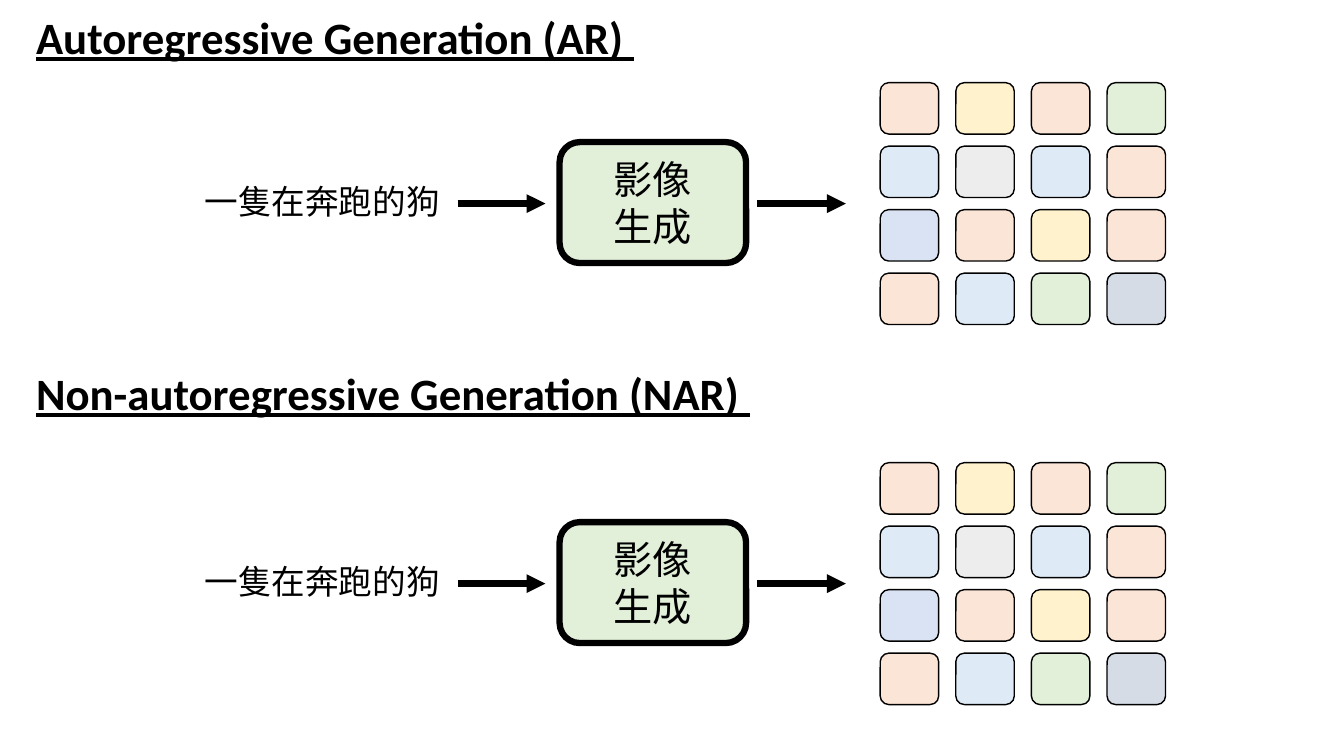
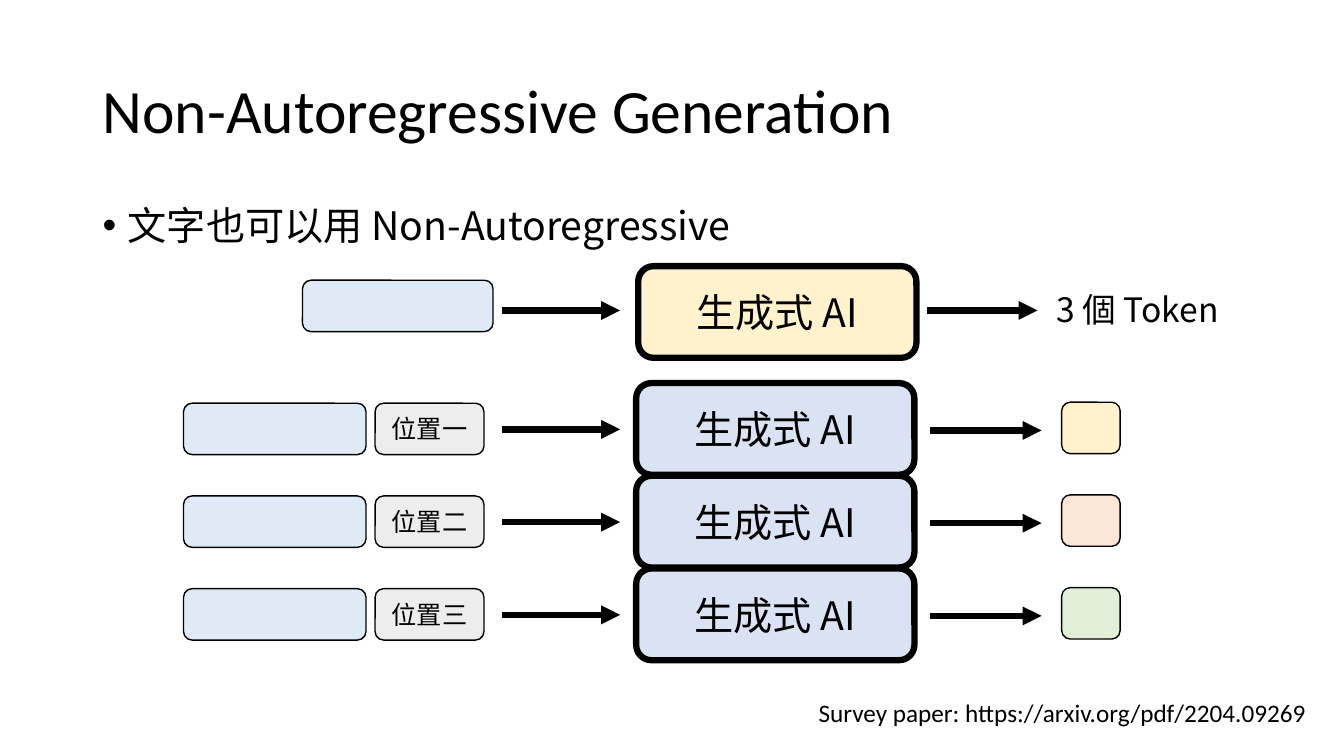
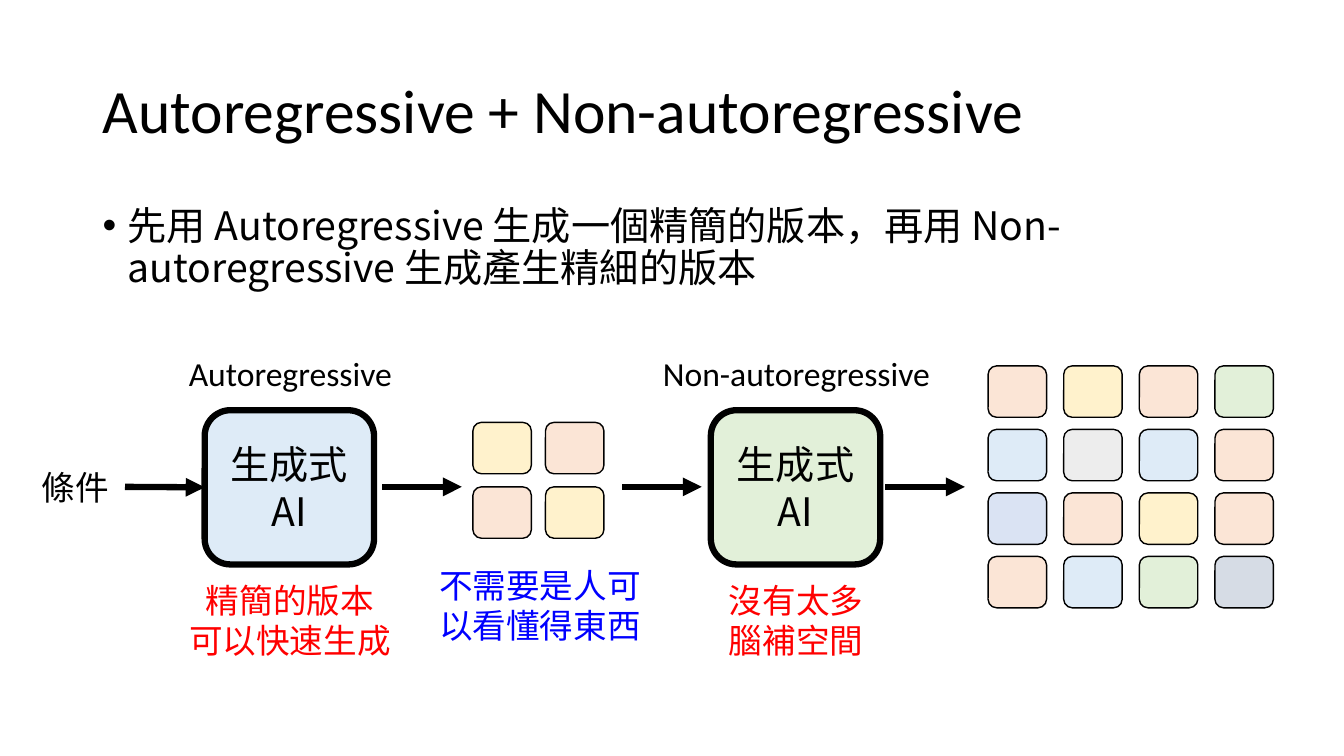
from lxml.etree import SubElement
from pptx import Presentation
from pptx.dml.color import RGBColor
from pptx.enum.shapes import MSO_CONNECTOR as Connector, MSO_SHAPE as Shape
from pptx.enum.text import MSO_ANCHOR as Anchor, MSO_AUTO_SIZE as AutoSize, PP_ALIGN as Align
from pptx.oxml.ns import qn
from pptx.util import Inches, Pt

COLORS = {
    "black": "000000", "red": "FF0000", "blue": "0000FF",
    "peach": "FBE5D6", "cream": "FFF2CC", "mint": "E2F0D9", "sky": "DEEBF7",
    "grey": "EDEDED", "periwinkle": "DAE3F3", "slate": "D6DCE5",
}
LATIN = "Calibri"
CJK = "Noto Sans CJK SC"
THICK, THIN = 4.5, 1
TOKEN_WIDTH, TOKEN_HEIGHT = 0.58, 0.51
IMAGE_TOKENS = [
    ["peach", "cream", "peach", "mint"],
    ["sky", "grey", "sky", "peach"],
    ["periwinkle", "peach", "cream", "peach"],
    ["peach", "sky", "mint", "slate"],
]
DRAFT_TOKENS = [["cream", "peach"], ["peach", "cream"]]


def rgb(name):
    return RGBColor.from_string(COLORS[name])


class Deck:
    def __init__(self):
        self.file = Presentation()
        self.file.slide_width = Inches(13.33)
        self.file.slide_height = Inches(7.5)
        self.page = None

    def new_page(self):
        self.page = self.file.slides.add_slide(self.file.slide_layouts[6])

    def fill_text(self, frame, lines, size, font, color="black", align=Align.LEFT,
                  spacing=None, bullet=False, heading=False):
        frame.word_wrap = True
        for index, line in enumerate(lines):
            para = frame.paragraphs[0] if index == 0 else frame.add_paragraph()
            para.alignment = align
            if bullet:
                properties = para._p.get_or_add_pPr()
                properties.set("marL", str(Inches(0.25)))
                properties.set("indent", str(-Inches(0.25)))
                SubElement(properties, qn("a:buFont"), typeface="Arial")
                SubElement(properties, qn("a:buChar"), char="•")
            if spacing:
                para.line_spacing = spacing
            span = para.add_run()
            span.text = line
            span.font.size = Pt(size)
            span.font.name = font
            span.font.color.rgb = rgb(color)
            if heading:
                span.font.bold = True
                span.font.underline = True
            SubElement(span._r.get_or_add_rPr(), qn("a:ea"), typeface=font)

    def text(self, left, top, width, height, lines, size=24, font=CJK,
             anchor=Anchor.TOP, grow=True, **style):
        box = self.page.shapes.add_textbox(
            Inches(left), Inches(top), Inches(width), Inches(height))
        frame = box.text_frame
        self.fill_text(frame, lines, size, font, **style)
        frame.vertical_anchor = anchor
        frame.auto_size = AutoSize.SHAPE_TO_FIT_TEXT if grow else AutoSize.NONE

    def title(self, words):
        self.text(0.92, 0.4, 11.5, 1.45, [words], 44, LATIN,
                  anchor=Anchor.MIDDLE, grow=False, spacing=0.9)

    def body(self, words):
        self.text(0.92, 2, 11.5, 4.76, [words], 28, grow=False,
                  spacing=0.9, bullet=True)

    def block(self, left, top, width, height, fill, lines=(), size=28, weight=THIN):
        box = self.page.shapes.add_shape(
            Shape.ROUNDED_RECTANGLE, Inches(left), Inches(top), Inches(width), Inches(height))
        box.shadow.inherit = False
        box.fill.solid()
        box.fill.fore_color.rgb = rgb(fill)
        box.line.color.rgb = rgb("black")
        box.line.width = Pt(weight)
        box.text_frame.vertical_anchor = Anchor.MIDDLE
        self.fill_text(box.text_frame, lines, size, CJK, align=Align.CENTER)
        return box

    def model(self, left, top, width, height, fill, lines):
        return self.block(left, top, width, height, fill, lines, weight=THICK)

    def token(self, left, top, fill):
        self.block(left, top, TOKEN_WIDTH, TOKEN_HEIGHT, fill)

    def token_grid(self, left, top, rows, across=0.75, down=0.63):
        for row, fills in enumerate(rows):
            for column, fill in enumerate(fills):
                self.token(left + column * across, top + row * down, fill)

    def arrow(self, start, end, level, target=None):
        line = self.page.shapes.add_connector(
            Connector.STRAIGHT, Inches(start), Inches(level), Inches(end), Inches(level))
        line.line.color.rgb = rgb("black")
        line.line.width = Pt(THICK)
        SubElement(line.line._get_or_add_ln(), qn("a:tailEnd"), type="triangle")
        SubElement(line._element.spPr, qn("a:effectLst"))
        if target is not None:
            line.end_connect(target, 1)


def image_generation(deck):
    deck.new_page()
    halves = [
        ("Autoregressive Generation (AR) ", 0.05, 2.02),
        ("Non-autoregressive Generation (NAR) ", 3.58, 5.79),
    ]
    for heading, top, level in halves:
        deck.text(0.26, top, 9.04, 0.64, [heading], 32, LATIN, heading=True)
        deck.text(1.46, level - 0.27, 3, 0.5, ["一隻在奔跑的狗"], align=Align.RIGHT)
        deck.arrow(4.54, 5.41, level)
        deck.model(5.55, level - 0.61, 1.85, 1.2, "mint", ["影像", "生成"])
        deck.arrow(7.51, 8.39, level)
        deck.token_grid(8.73, level - 1.2, IMAGE_TOKENS)


def text_generation(deck):
    deck.new_page()
    deck.title("Non-Autoregressive Generation")
    deck.body("文字也可以用 Non-Autoregressive")
    deck.text(8.02, 6.87, 5.2, 0.4, ["Survey paper: https://arxiv.org/pdf/2204.09269"], 18, LATIN)

    deck.block(3, 2.78, 1.89, 0.51, "sky")
    deck.arrow(4.98, 6.15, 3.08)
    deck.model(6.33, 2.64, 2.76, 0.91, "cream", ["生成式 AI"])
    deck.arrow(9.19, 10.29, 3.08)
    deck.text(10.38, 2.82, 2.9, 0.5, ["3 個 Token"])

    outputs = [("位置一", "cream"), ("位置二", "peach"), ("位置三", "mint")]
    for row, (position, fill) in enumerate(outputs):
        top = 3.8 + row * 0.92
        deck.block(1.82, top + 0.2, 1.81, 0.51, "sky")
        deck.block(3.72, top + 0.2, 1.08, 0.51, "grey", [position], 18)
        deck.arrow(4.98, 6.15, top + 0.46)
        deck.model(6.31, top, 2.76, 0.91, "periwinkle", ["生成式 AI"])
        deck.arrow(9.22, 10.33, top + 0.47)
        deck.token(10.53, top + 0.19, fill)


def combined_generation(deck):
    deck.new_page()
    deck.title("Autoregressive + Non-autoregressive")
    deck.body("先用 Autoregressive 生成一個精簡的版本，再用 Non-autoregressive 生成產生精細的版本")

    stages = [
        (2.03, "sky", "Autoregressive", ["精簡的版本", "可以快速生成"]),
        (7.05, "mint", "Non-autoregressive", ["沒有太多", "腦補空間"]),
    ]
    models = []
    for left, fill, name, remark in stages:
        deck.text(left - 0.78, 3.45, 3.26, 0.5, [name], font=LATIN, align=Align.CENTER)
        models.append(deck.model(left, 4.07, 1.68, 1.53, fill, ["生成式", "AI"]))
        deck.text(left - 0.5, 5.7, 2.69, 0.91, remark, color="red", align=Align.CENTER)

    deck.text(0, 4.58, 1.5, 0.5, ["條件"], align=Align.CENTER)
    deck.arrow(1.24, 2.03, 4.83, models[0])
    for start in (3.79, 6.17, 8.78):
        deck.arrow(start, start + 0.79, 4.83)
    deck.token_grid(4.69, 4.19, DRAFT_TOKENS, across=0.72, down=0.64)
    deck.text(4.16, 5.55, 2.39, 0.91, ["不需要是人可以看懂得東西"], color="blue", align=Align.CENTER)
    deck.token_grid(9.8, 3.63, IMAGE_TOKENS)


def main():
    deck = Deck()
    image_generation(deck)
    text_generation(deck)
    combined_generation(deck)
    deck.file.save("out.pptx")


if __name__ == "__main__":
    main()
